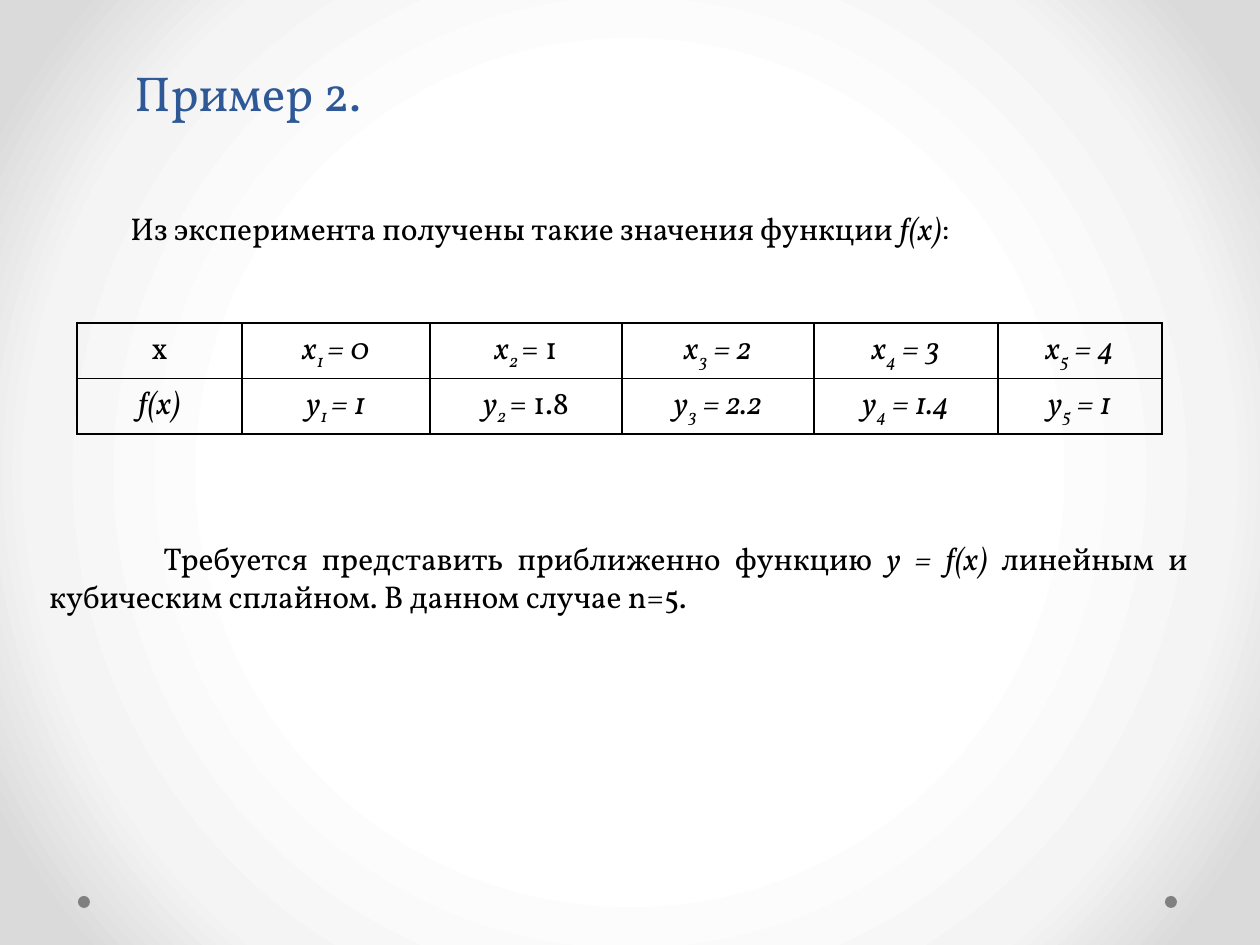
from pptx import Presentation
from pptx.dml.color import RGBColor
from pptx.enum.shapes import MSO_SHAPE
from pptx.enum.text import MSO_ANCHOR, PP_ALIGN
from pptx.oxml import parse_xml
from pptx.oxml.ns import nsdecls
from pptx.util import Emu, Pt

OVAL = MSO_SHAPE.OVAL
TOP, BOTTOM = MSO_ANCHOR.TOP, MSO_ANCHOR.BOTTOM
LEFT, CENTER, JUSTIFY = PP_ALIGN.LEFT, PP_ALIGN.CENTER, PP_ALIGN.JUSTIFY
FONT, BLACK, BLUE, GRAY = "Vollkorn", "000000", "2F5897", "808080"


def px(n):
    return Emu(round(n * 914400 / 126))


def rgb(color):
    return RGBColor.from_string(color)


class Deck:
    def __init__(self, width, height):
        self.prs = Presentation()
        self.prs.slide_width, self.prs.slide_height = px(width), px(height)
        self.s = self.prs.slides.add_slide(self.prs.slide_layouts[6])

    def background(self, stops):
        gs = "".join(f'<a:gs pos="{pos * 1000}"><a:srgbClr val="{color}"/></a:gs>'
                     for pos, color in stops)
        center = 'l="50000" t="50000" r="50000" b="50000"'
        self.s.element.cSld.insert(0, parse_xml(
            f'<p:bg {nsdecls("p", "a")}><p:bgPr><a:gradFill><a:gsLst>{gs}</a:gsLst>'
            f'<a:path path="circle"><a:fillToRect {center}/></a:path></a:gradFill>'
            '<a:effectLst/></p:bgPr></p:bg>'))

    def dot(self, x, y, size, color):
        sp = self.s.shapes.add_shape(OVAL, px(x), px(y), px(size), px(size))
        sp.shadow.inherit = False
        sp.fill.solid()
        sp.fill.fore_color.rgb = rgb(color)
        sp.line.fill.background()

    def add_runs(self, p, runs, align, size=18, color=BLACK):
        """Each run is (text, style): i is italic, s is subscript."""
        p.alignment = align
        for text, style in runs:
            r = p.add_run()
            r.text = text
            r.font.name, r.font.size = FONT, Pt(size)
            r.font.color.rgb = rgb(color)
            r.font.italic = "i" in style
            if "s" in style:
                r._r.get_or_add_rPr().set("baseline", "-25000")

    def text(self, x, y, w, h, runs, align=LEFT, anchor=TOP, indent=0,
             spacing=None, **font):
        tf = self.s.shapes.add_textbox(px(x), px(y), px(w), px(h)).text_frame
        tf.word_wrap = True
        tf.vertical_anchor = anchor
        p = tf.paragraphs[0]
        if spacing:
            p.line_spacing = Pt(spacing)
        if indent:
            p._p.get_or_add_pPr().set("indent", str(px(indent)))
        self.add_runs(p, runs, align, **font)

    def table(self, x, y, widths, row_height, rows):
        frame = self.s.shapes.add_table(len(rows), len(widths), px(x), px(y),
                                        px(sum(widths)), px(row_height * len(rows)))
        table = frame.table
        table.first_row = table.horz_banding = False
        for column, width in zip(table.columns, widths):
            column.width = px(width)
        for i, row in enumerate(rows):
            for j, runs in enumerate(row):
                cell = table.cell(i, j)
                cell.fill.background()
                self.border(cell)
                self.add_runs(cell.text_frame.paragraphs[0], runs, CENTER)

    def border(self, cell):
        tcPr = cell._tc.get_or_add_tcPr()
        for k, side in enumerate("LRTB"):
            tcPr.insert(k, parse_xml(
                f'<a:ln{side} {nsdecls("a")} w="12700"><a:solidFill>'
                f'<a:srgbClr val="{BLACK}"/></a:solidFill></a:ln{side}>'))


def equation(name, n, value):
    """Indexed variable; the second column has an upright value."""
    gap_in_index = n <= 2
    index, rest = (f"{n} ", f"= {value}") if gap_in_index else (f"{n}", f" = {value}")
    return [(name, "i"), (index, "is"), (rest, "" if n == 2 else "i")]


def equations(name, values):
    return [equation(name, n, v) for n, v in enumerate(values, 1)]


deck = Deck(1260, 945)

# Background and footer dots
deck.background([(50, "FFFFFF"), (76, "F4F4F4"), (92, "DADADA")])
for x in (78, 1165):
    deck.dot(x, 896, 12, GRAY)

# Title
deck.text(122, 42, 1091, 86, [("Пример 2.", "")], anchor=BOTTOM, spacing=58,
          size=28, color=BLUE)

# Problem statement
deck.text(66, 203, 1163, 50,
          [("Из эксперимента получены такие значения функции ", ""),
           ("f(x)", "i"), (":", "")], JUSTIFY, indent=52)
deck.text(37, 533, 1163, 89,
          [("Требуется представить приближенно функцию ", ""), ("у = f(х) ", "i"),
           ("линейным и кубическим сплайном. В данном случае n=5.", "")],
          JUSTIFY, indent=114)

# Table of function values
deck.table(77, 323, [165, 188, 192, 192, 184, 164], 51, [
    [[("x", "")]] + equations("х", ["0", "1", "2", "3", "4"]),
    [[("f(x)", "i")]] + equations("y", ["1", "1.8", "2.2", "1.4", "1"]),
])

deck.prs.save("out.pptx")
